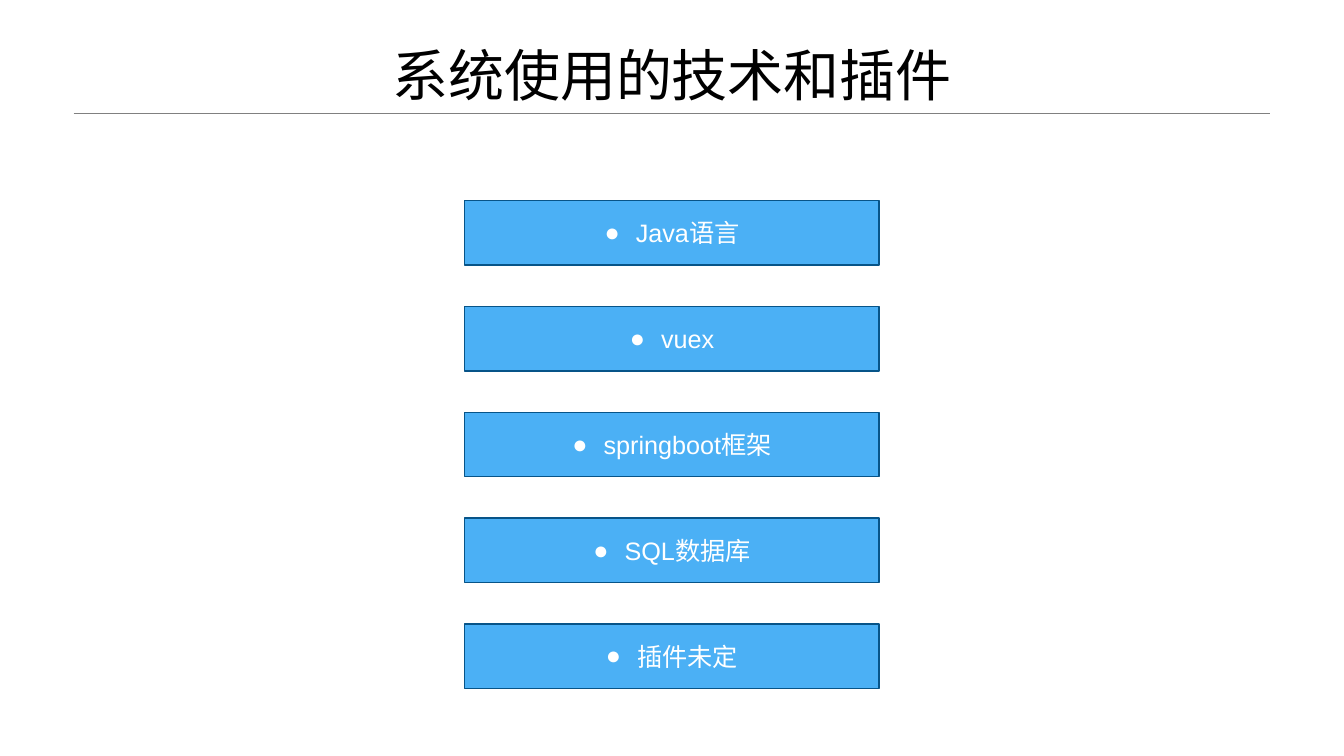
from dataclasses import dataclass

from lxml import etree
from pptx import Presentation
from pptx import util as u
from pptx.dml.color import RGBColor
from pptx.enum import shapes, text
from pptx.oxml import ns


@dataclass(frozen=True)
class Theme:
    ink: RGBColor = RGBColor(0, 0, 0)
    rule: RGBColor = RGBColor(0x80, 0x80, 0x80)
    fill: RGBColor = RGBColor(0x4B, 0xB0, 0xF5)
    edge: RGBColor = RGBColor(0x07, 0x54, 0x88)
    light: RGBColor = RGBColor(0xFF, 0xFF, 0xFF)
    head: u.Pt = u.Pt(40)
    body: u.Pt = u.Pt(18)
    latin: str = "Arial"
    asian: str = "Noto Sans CJK SC"


theme = Theme()


def add_run(para, words, face, size, color):
    run = para.add_run()
    run.text = words
    run.font.name = face
    run.font.size = size
    run.font.color.rgb = color
    east = etree.SubElement(run.font._element, ns.qn("a:ea"))
    east.set("typeface", theme.asian)


def add_bullet(para, mark, indent):
    props = para._p.get_or_add_pPr()
    props.set("marL", str(indent))
    props.set("indent", str(-indent))
    etree.SubElement(props, ns.qn("a:buFont")).set("typeface", theme.latin)
    etree.SubElement(props, ns.qn("a:buChar")).set("char", mark)


deck = Presentation()
deck.slide_width = u.Inches(13.33)
deck.slide_height = u.Inches(7.5)
slide = deck.slides.add_slide(deck.slide_layouts[6])

left, width, base = u.Inches(0.73), u.Inches(11.87), u.Inches(1.12)

rule = slide.shapes.add_connector(
    shapes.MSO_CONNECTOR.STRAIGHT, left, base, left + width, base)
rule.line.color.rgb = theme.rule
rule.line.width = u.Pt(0.25)
etree.SubElement(rule._element.spPr, ns.qn("a:effectLst"))

title = slide.shapes.add_textbox(left, 0, width, base)
frame = title.text_frame
frame.word_wrap = True
frame.vertical_anchor = text.MSO_ANCHOR.BOTTOM
para = frame.paragraphs[0]
para.alignment = text.PP_ALIGN.CENTER
para.line_spacing = 1.5
add_run(para, "系统使用的技术和插件", theme.asian, theme.head, theme.ink)

tools = ["Java语言", "vuex", "springboot框架", "SQL数据库", "插件未定"]
top, step = 1.99, 1.05

for row, tool in enumerate(tools):
    box = slide.shapes.add_shape(
        shapes.MSO_SHAPE.RECTANGLE, u.Inches(4.61), u.Inches(top + row * step),
        u.Inches(4.11), u.Inches(0.64))
    box.shadow.inherit = False
    box.fill.solid()
    box.fill.fore_color.rgb = theme.fill
    box.line.color.rgb = theme.edge
    box.line.width = u.Pt(1)
    frame = box.text_frame
    frame.word_wrap = True
    frame.vertical_anchor = text.MSO_ANCHOR.MIDDLE
    para = frame.paragraphs[0]
    para.alignment = text.PP_ALIGN.CENTER
    add_bullet(para, "●", u.Inches(0.31))
    add_run(para, tool, theme.latin, theme.body, theme.light)

deck.save("out.pptx")
